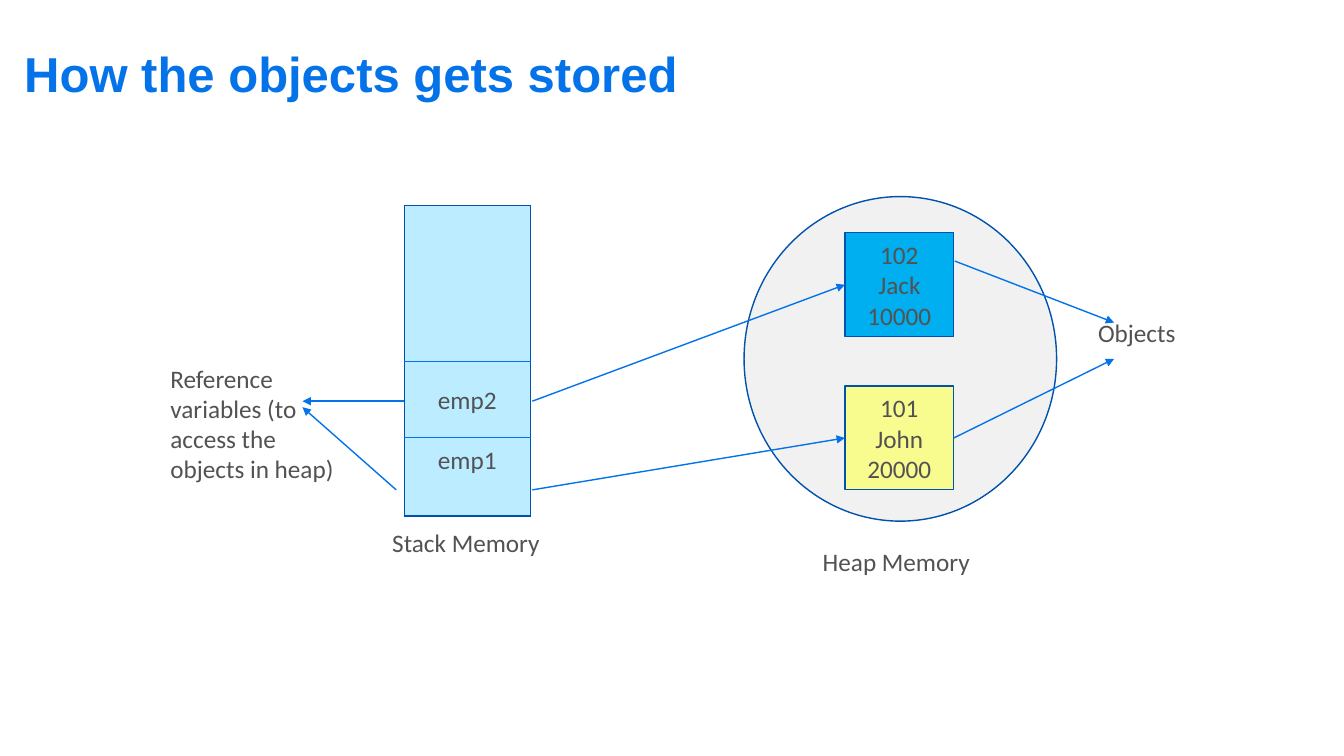
from pptx import Presentation
from pptx.dml.color import RGBColor
from pptx.enum.shapes import MSO_CONNECTOR, MSO_SHAPE
from pptx.enum.text import MSO_ANCHOR, MSO_AUTO_SIZE, PP_ALIGN
from pptx.oxml.ns import qn
from pptx.util import Inches, Pt
from lxml.etree import SubElement

BLUE, NAVY, GREY = "0473EA", "0152AC", "525254"
LEFT, RIGHT = 1, 3


def rgb(color):
    return RGBColor.from_string(color)


def inches(*values):
    return [Inches(v) for v in values]


def write(tf, text, size=18, font="Calibri", color=GREY, bold=False,
          align=PP_ALIGN.LEFT, anchor=MSO_ANCHOR.TOP, top=0.02):
    """Fill a text frame, one paragraph per line of text."""
    tf.word_wrap = True
    tf.auto_size = MSO_AUTO_SIZE.NONE
    tf.vertical_anchor = anchor
    tf.margin_left = tf.margin_right = tf.margin_bottom = 0
    tf.margin_top = Inches(top)
    for i, line in enumerate(text.split("\n")):
        p = tf.add_paragraph() if i else tf.paragraphs[0]
        p.alignment = align
        r = p.add_run()
        r.text = line
        r.font.size, r.font.name, r.font.bold = Pt(size), font, bold
        r.font.color.rgb = rgb(color)


def add_label(s, text, *box):
    write(s.shapes.add_textbox(*inches(*box)).text_frame, text)


def add_outlined(s, kind, fill, *box):
    sp = s.shapes.add_shape(kind, *inches(*box))
    sp.shadow.inherit = False
    sp.fill.solid()
    sp.fill.fore_color.rgb = rgb(fill)
    sp.line.color.rgb = rgb(NAVY)
    sp.line.width = Pt(1)
    return sp


def add_object(s, text, fill, top):
    sp = add_outlined(s, MSO_SHAPE.RECTANGLE, fill, 8.38, top, 1.08, 1.03)
    write(sp.text_frame, text, align=PP_ALIGN.CENTER,
          anchor=MSO_ANCHOR.MIDDLE, top=0)
    return sp


def add_arrow(s, start, end, source=None, target=None):
    """Draw an arrow; source joins on its right side, target on its left."""
    cx = s.shapes.add_connector(MSO_CONNECTOR.STRAIGHT, *inches(*start, *end))
    if source is not None:
        cx.begin_connect(source, RIGHT)
    if target is not None:
        cx.end_connect(target, LEFT)
    cx.line.color.rgb = rgb(BLUE)
    cx.line.width = Pt(1)
    SubElement(cx.line._get_or_add_ln(), qn("a:tailEnd"), type="triangle")
    SubElement(cx._element.spPr, qn("a:effectLst"))


def add_border(cell, side, color, width):
    ln = SubElement(cell._tc.get_or_add_tcPr(), qn("a:ln" + side),
                    w=str(Pt(width)))
    SubElement(SubElement(ln, qn("a:solidFill")), qn("a:srgbClr"), val=color)


def add_stack(s, rows):
    """Add the one-column table; rows hold (height, text, top margin)."""
    height = sum(row[0] for row in rows)
    frame = s.shapes.add_table(len(rows), 1, *inches(4.01, 2.04, 1.25, height))
    table = frame.table
    table.first_row = table.horz_banding = False
    outer, inner = (NAVY, 1), (BLUE, 0.5)
    last = len(rows) - 1
    for i, (height, text, top) in enumerate(rows):
        table.rows[i].height = Inches(height)
        cell = table.cell(i, 0)
        for side, edge in (("L", outer), ("R", outer),
                           ("T", inner if i else outer),
                           ("B", inner if i < last else outer)):
            add_border(cell, side, *edge)
        cell.fill.solid()
        cell.fill.fore_color.rgb = rgb("BCECFF")
        cell.margin_left = cell.margin_right = cell.margin_bottom = 0
        cell.margin_top = Inches(top)
        if text:
            p = cell.text_frame.paragraphs[0]
            p.alignment = PP_ALIGN.CENTER
            r = p.add_run()
            r.text = text
            r.font.size, r.font.name = Pt(18), "Calibri"
            r.font.color.rgb = rgb(GREY)


def main():
    prs = Presentation()
    prs.slide_width, prs.slide_height = inches(13.33, 7.5)
    s = prs.slides.add_slide(prs.slide_layouts[5])

    title = s.shapes.title
    title.left, title.top, title.width, title.height = inches(
        0.24, 0.41, 6.7, 0.61)
    write(title.text_frame, "How the objects gets stored", size=35,
          font="Arial", color=BLUE, bold=True)

    add_outlined(s, MSO_SHAPE.OVAL, "F1F1F1", 7.38, 1.95, 3.1, 3.22)
    add_stack(s, [(1.54, "", 0), (0.76, "emp2", 0.24), (0.78, "emp1", 0.08)])
    jack = add_object(s, "102\nJack\n10000", "00AFEF", 2.31)
    john = add_object(s, "101\nJohn\n20000", "F8FB8E", 3.83)

    add_label(s, "Stack Memory", 3.89, 5.21, 1.55, 0.33)
    add_label(s, "Heap Memory", 8.16, 5.4, 1.55, 0.33)
    add_label(s, "Objects", 10.89, 3.13, 0.85, 0.33)
    add_label(s, "Reference variables (to access the objects in heap)",
              1.69, 3.58, 1.65, 1.23)

    add_arrow(s, (5.28, 3.98), (8.38, 2.82), target=jack)
    add_arrow(s, (5.28, 4.86), (8.38, 4.35), target=john)
    add_arrow(s, (9.47, 2.59), (11.05, 3.2))
    add_arrow(s, (9.46, 4.35), (11.05, 3.56), source=john)
    add_arrow(s, (4.01, 3.98), (3, 3.98))
    add_arrow(s, (3.93, 4.86), (3, 4.04))

    prs.save("out.pptx")


if __name__ == "__main__":
    main()
